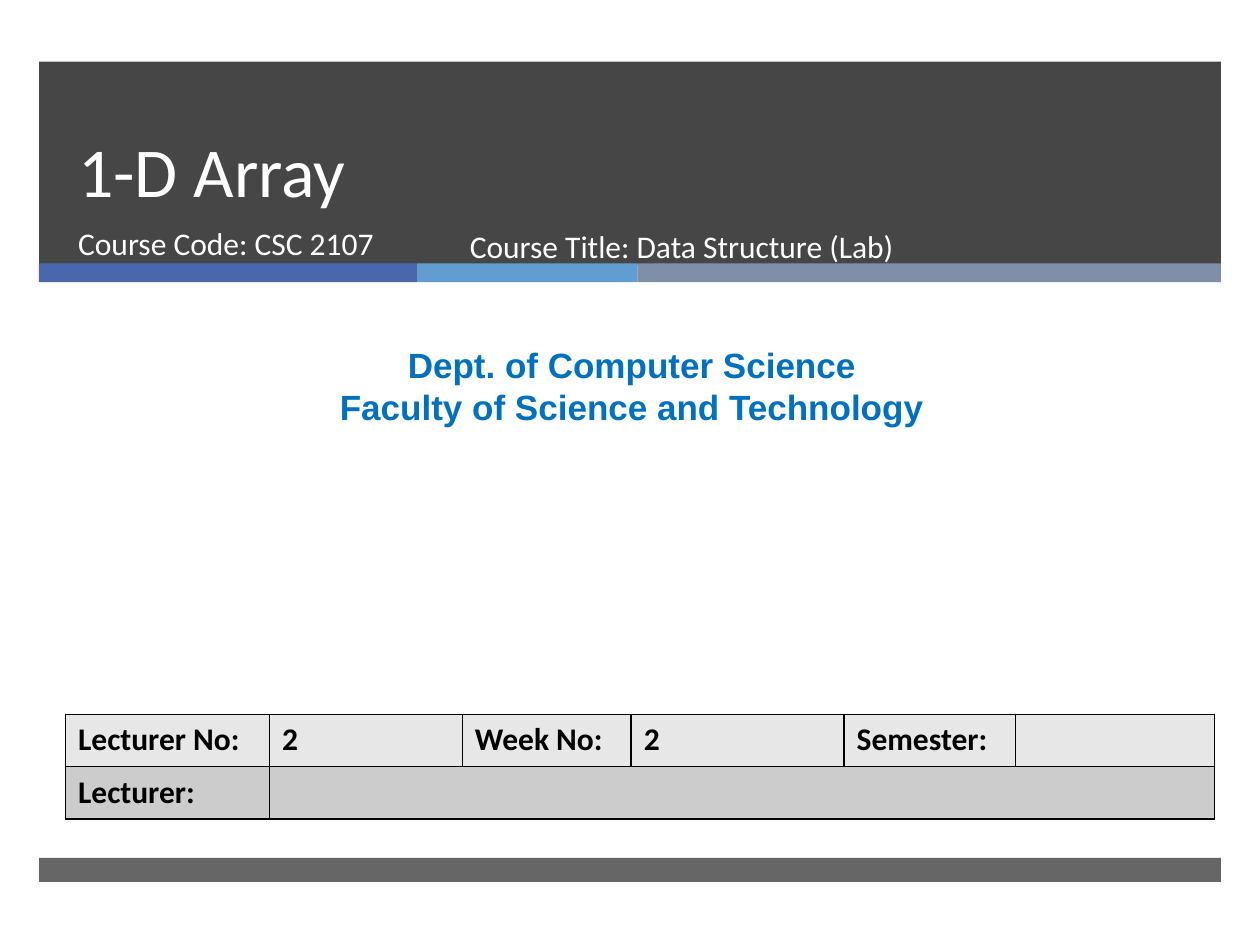
from dataclasses import dataclass

from lxml.etree import SubElement
from pptx import Presentation
from pptx.dml.color import RGBColor as RGB
from pptx.enum.shapes import MSO_SHAPE as Shape
from pptx.enum.text import MSO_ANCHOR as Anchor, MSO_AUTO_SIZE as AutoSize, PP_ALIGN as Align
from pptx.oxml.ns import qn
from pptx.util import Inches, Pt


@dataclass(frozen=True)
class Theme:
    dark: str = "262626"
    white: str = "FFFFFF"
    black: str = "000000"
    heading: str = "0070C0"
    accents: tuple = ("4A66AC", "629DD1", "7F8FA9")
    rows: tuple = ("E7E7E7", "CCCCCC")
    body_font: str = "Calibri"
    heading_font: str = "Arial"
    title_size: int = 40
    heading_size: int = 20
    body_size: int = 18
    border: int = 1


@dataclass(frozen=True)
class Box:
    """A rectangle in percent of the slide's width and height."""
    x: float
    y: float
    w: float
    h: float

    def emu(self) -> tuple[int, int, int, int]:
        return (int(WIDTH * self.x / 100), int(HEIGHT * self.y / 100),
                int(WIDTH * self.w / 100), int(HEIGHT * self.h / 100))


@dataclass(frozen=True)
class Bar:
    box: Box
    color: str
    opacity: int = 100


THEME = Theme()
WIDTH, HEIGHT = Inches(10), Inches(7.5)
LEFT, FULL = 3.1, 93.8
STRIPE_WIDTHS = (30, 17.5, 46.3)
TABLE_BOX = Box(5.2, 75.6, 91.2, 11.07)
COLUMN_WIDTHS = (16.2, 15.3, 13.4, 16.9, 13.6, 15.8)
TABLE_ROWS = (("Lecturer No:", "2", "Week No:", "2", "Semester:", ""),
              ("Lecturer:", "", "", "", "", ""))


def add_bar(slide, bar: Bar) -> None:
    sp = slide.shapes.add_shape(Shape.RECTANGLE, *bar.box.emu())
    sp.shadow.inherit = False
    sp.line.fill.background()
    sp.fill.solid()
    sp.fill.fore_color.rgb = RGB.from_string(bar.color)
    if bar.opacity < 100:
        color = sp.fill._xPr.find(qn("a:solidFill"))[0]
        SubElement(color, qn("a:alpha"), val=str(bar.opacity * 1000))


def add_run(p, text: str, size: int, color: str, bold: bool = False,
            font: str = THEME.body_font) -> None:
    r = p.add_run()
    r.text = text
    r.font.name, r.font.size, r.font.bold = font, Pt(size), bold
    r.font.color.rgb = RGB.from_string(color)


def prepare_text(sp, box: Box, anchor: Anchor = Anchor.TOP):
    """Place a text shape and return its text frame."""
    sp.left, sp.top, sp.width, sp.height = box.emu()
    tf = sp.text_frame
    tf.word_wrap, tf.auto_size, tf.vertical_anchor = True, AutoSize.NONE, anchor
    return tf


def format_cell(cell, text: str, fill: str) -> None:
    tc_pr = cell._tc.get_or_add_tcPr()
    for side in ("lnL", "lnR", "lnT", "lnB"):
        ln = SubElement(tc_pr, qn(f"a:{side}"), w=str(Pt(THEME.border)))
        SubElement(SubElement(ln, qn("a:solidFill")), qn("a:srgbClr"), val=THEME.black)
    cell.fill.solid()
    cell.fill.fore_color.rgb = RGB.from_string(fill)
    if text:
        add_run(cell.text_frame.paragraphs[0], text, THEME.body_size, THEME.black, bold=True)


def add_lecture_table(slide) -> None:
    table = slide.shapes.add_table(len(TABLE_ROWS), len(COLUMN_WIDTHS), *TABLE_BOX.emu()).table
    for column, share in zip(table.columns, COLUMN_WIDTHS):
        column.width = int(WIDTH * share / 100)
    for i, (texts, fill) in enumerate(zip(TABLE_ROWS, THEME.rows)):
        for j, text in enumerate(texts):
            format_cell(table.cell(i, j), text, fill)
    table.cell(1, 1).merge(table.cell(1, len(COLUMN_WIDTHS) - 1))


def add_banner(slide) -> None:
    add_bar(slide, Bar(Box(LEFT, 6.53, FULL, 21.47), THEME.dark, 85))
    x = LEFT
    for width, color in zip(STRIPE_WIDTHS, THEME.accents):
        add_bar(slide, Bar(Box(x, 27.87, width, 2), color))
        x += width
    add_bar(slide, Bar(Box(LEFT, 90.8, FULL, 2.53), THEME.dark, 70))


def add_texts(slide) -> None:
    title, subtitle = slide.shapes.title, slide.placeholders[1]
    for sp in (title, subtitle):  # bring in front of the banner
        slide.shapes._spTree.append(sp._element)

    p = prepare_text(title, Box(5.2, 7.2, 85.4, 15.87), Anchor.BOTTOM).paragraphs[0]
    p.alignment, p.line_spacing = Align.LEFT, Pt(46)
    add_run(p, "1-D Array", THEME.title_size, THEME.white)

    course_title = slide.shapes.add_textbox(0, 0, 0, 0)
    for sp, box, text in (
            (subtitle, Box(5.2, 23.07, 30.5, 7.07), "Course Code: CSC 2107"),
            (course_title, Box(36.3, 23.33, 45.5, 7.07), "Course Title: Data Structure (Lab)")):
        p = prepare_text(sp, box).paragraphs[0]
        p.alignment, p.space_before = Align.LEFT, Pt(0)
        add_run(p, text, THEME.body_size, THEME.white)

    tf = prepare_text(slide.shapes.add_textbox(0, 0, 0, 0), Box(0.8, 35.73, 98.7, 10.27))
    for i, text in enumerate(("Dept. of Computer Science", "Faculty of Science and Technology")):
        p = tf.add_paragraph() if i else tf.paragraphs[0]
        p.alignment = Align.CENTER
        add_run(p, text, THEME.heading_size, THEME.heading, True, THEME.heading_font)


def main() -> None:
    prs = Presentation()
    prs.slide_width, prs.slide_height = WIDTH, HEIGHT
    slide = prs.slides.add_slide(prs.slide_layouts[0])
    add_banner(slide)
    add_texts(slide)
    add_lecture_table(slide)
    prs.save("out.pptx")


if __name__ == "__main__":
    main()
